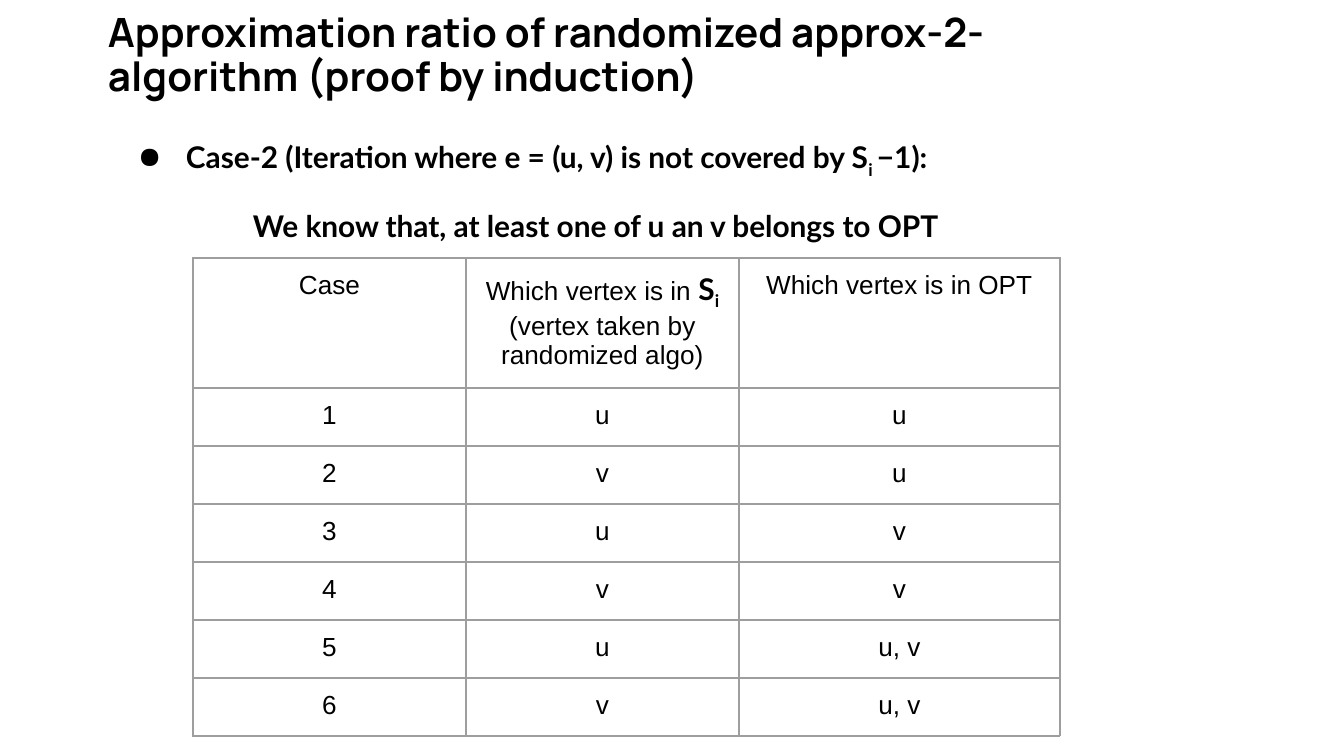
from lxml import etree
from pptx import Presentation
from pptx.dml.color import RGBColor
from pptx.enum.text import MSO_ANCHOR, PP_ALIGN
from pptx.oxml.ns import qn
from pptx.util import Pt

TOP, CENTER = MSO_ANCHOR.TOP, PP_ALIGN.CENTER
BLACK, GRAY = "000000", "9E9E9E"
PX = 914400 / 134.4
PAD = 13

# Content: a run is (text, style)
TITLE = "Approximation ratio of randomized approx-2-algorithm (proof by induction)"
CLAIM = [
    ("Case-2 (Iteration where e = (u, v) is not covered by S", "bold"),
    ("i ", "sub"),
    ("−1):", "bold"),
]
KNOWN = [("We know that, at least one of u an v belongs to OPT", "bold")]
HEAD = [
    [("Case", "cell")],
    [("Which vertex is in ", "cell"), ("S", "bold"), ("i ", "sub"),
     ("(vertex taken by randomized algo)", "cell")],
    [("Which vertex is in OPT", "cell")],
]
CASES = [("u", "u"), ("v", "u"), ("u", "v"), ("v", "v"), ("u", "u, v"), ("v", "u, v")]

# Style: font, size, bold, baseline
STYLES = {
    "title": ("Manrope", 21.6, True, None),
    "bold": ("Lato", 16, True, None),
    "sub": ("Lato", 16, True, "-25000"),
    "cell": ("Arial", 14, False, None),
}
COLS = [273, 273, 321]
HEAD_H, ROW_H = 130, 58


def px(n):
    return round(n * PX)


def color(code):
    return RGBColor.from_string(code)


def set_font(font, style):
    font.name, size, font.bold, _ = STYLES[style]
    font.size = Pt(size)
    font.color.rgb = color(BLACK)


def write(para, runs):
    styles = {style for _, style in runs}
    if len(styles) == 1:
        set_font(para.font, runs[0][1])
    for text, style in runs:
        run = para.add_run()
        run.text = text
        if len(styles) > 1:
            set_font(run.font, style)
        shift = STYLES[style][3]
        if shift:
            run._r.get_or_add_rPr().set("baseline", shift)


def add_text(slide, x, y, w, h):
    frame = slide.shapes.add_textbox(px(x), px(y), px(w), px(h)).text_frame
    frame.word_wrap = True
    frame.vertical_anchor = TOP
    frame.margin_left = frame.margin_right = px(PAD)
    frame.margin_top = frame.margin_bottom = px(PAD)
    return frame


def indent(para, left, first, bullet=None):
    props = para._p.get_or_add_pPr()
    props.set("marL", str(px(left)))
    props.set("indent", str(px(first)))
    if bullet:
        tint = etree.SubElement(props, qn("a:buClr"))
        etree.SubElement(tint, qn("a:srgbClr"), val=BLACK)
        etree.SubElement(props, qn("a:buChar"), char=bullet)


def add_border(cell):
    props = cell._tc.get_or_add_tcPr()
    for side in ("lnL", "lnR", "lnT", "lnB"):
        line = etree.SubElement(props, qn(f"a:{side}"), w=str(Pt(0.75)))
        fill = etree.SubElement(line, qn("a:solidFill"))
        etree.SubElement(fill, qn("a:srgbClr"), val=GRAY)


def fill_cell(cell, runs):
    add_border(cell)
    cell.fill.background()
    cell.vertical_anchor = TOP
    cell.margin_left = cell.margin_right = px(PAD)
    cell.margin_top = cell.margin_bottom = px(PAD)
    para = cell.text_frame.paragraphs[0]
    para.alignment = CENTER
    write(para, runs)


def main():
    deck = Presentation()
    deck.slide_width, deck.slide_height = px(1344), px(756)
    slide = deck.slides.add_slide(deck.slide_layouts[6])

    # Title
    para = add_text(slide, 95, 0, 1086, 122).paragraphs[0]
    para.line_spacing = 0.9
    write(para, [(TITLE, "title")])

    # Claim and what is known
    frame = add_text(slide, 106, 126, 1132, 253)
    para = frame.paragraphs[0]
    indent(para, 67, -48, "●")
    write(para, CLAIM)
    para = frame.add_paragraph()
    indent(para, 134, 0)
    para.space_before = Pt(15)
    write(para, KNOWN)

    # Table of cases
    rows = [HEAD]
    for num, pair in enumerate(CASES, 1):
        rows.append([[(text, "cell")] for text in (str(num), *pair)])
    high = HEAD_H + ROW_H * len(CASES)
    table = slide.shapes.add_table(
        len(rows), len(COLS), px(193), px(258), px(sum(COLS)), px(high)).table
    table.first_row = table.horz_banding = False
    for col, wide in zip(table.columns, COLS):
        col.width = px(wide)
    for r, row in enumerate(rows):
        table.rows[r].height = px(ROW_H if r else HEAD_H)
        for c, runs in enumerate(row):
            fill_cell(table.cell(r, c), runs)

    deck.save("out.pptx")


if __name__ == "__main__":
    main()
